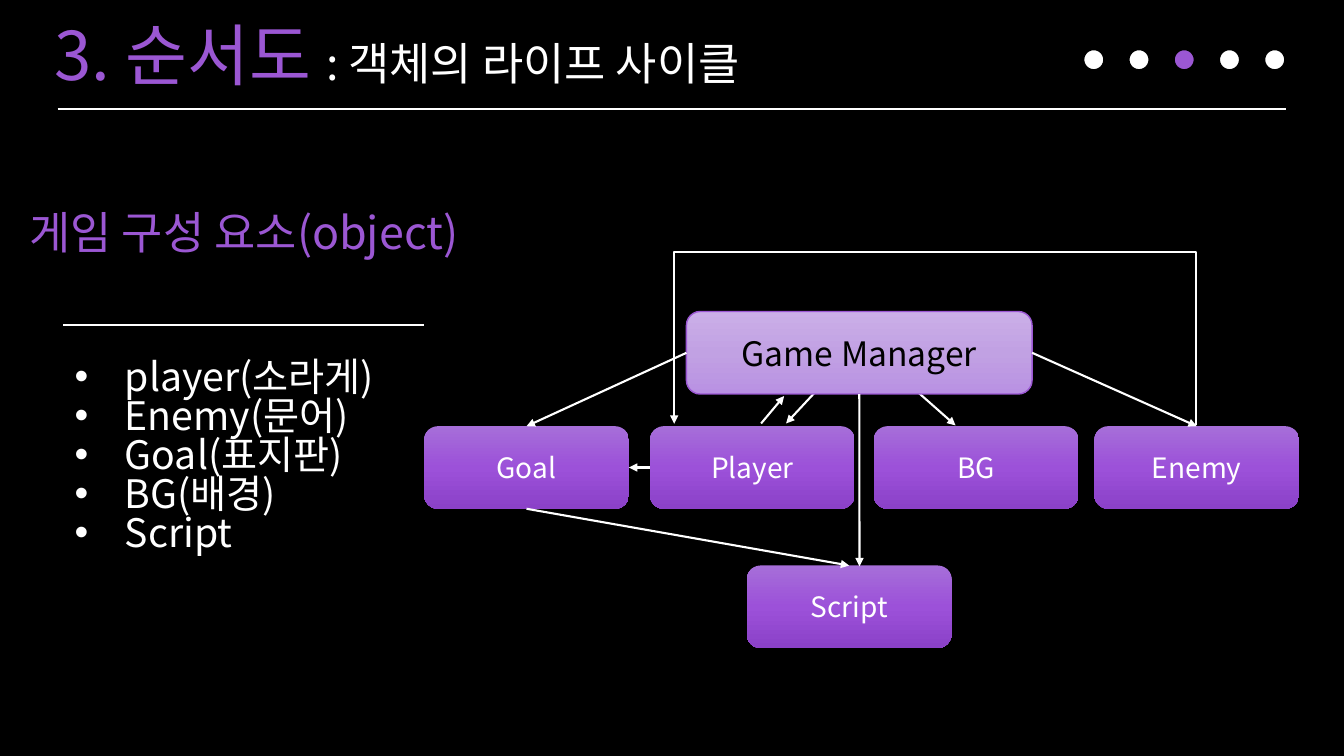
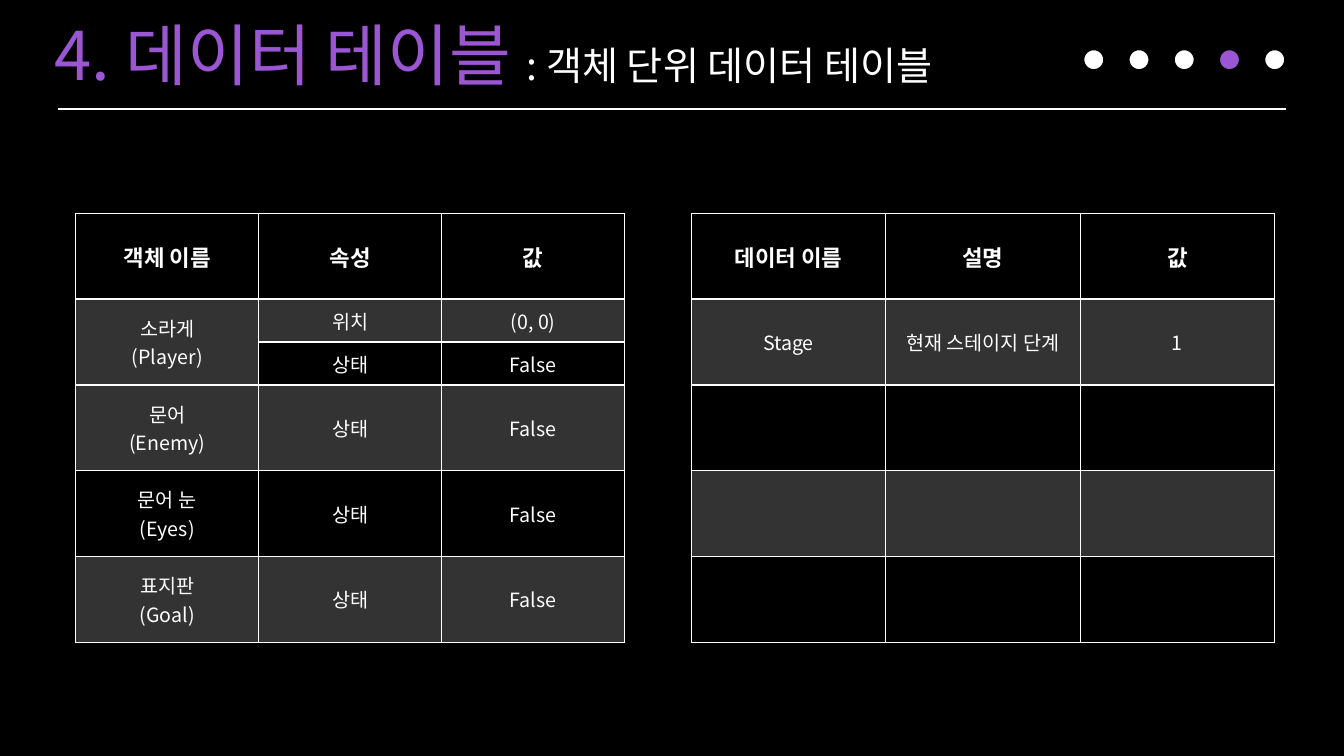
import copy

import pptx
import pptx.dml.color
import pptx.enum.shapes
import pptx.enum.text
import pptx.oxml
import pptx.oxml.ns
import pptx.util

Cm, Pt = pptx.util.Cm, pptx.util.Pt
qn = pptx.oxml.ns.qn
SHAPE = pptx.enum.shapes.MSO_SHAPE
LINE = pptx.enum.shapes.MSO_CONNECTOR
ALIGN = pptx.enum.text.PP_ALIGN
ANCHOR = pptx.enum.text.MSO_ANCHOR

# Shared look
FONT = "Noto Sans CJK KR"
BLACK, WHITE, PURPLE = "000000", "FFFFFF", "9B57D3"
PALE = ("CBAFE8", "C1A1E3", "B991E3")
DEEP = ("A66ED9", "9C51D9", "8B41C8")
DOTS = 5

# Flow chart: name -> left, top
HEAD = "게임 구성 요소(object)"
ITEMS = ["player(소라게)", "Enemy(문어)", "Goal(표지판)", "BG(배경)", "Script"]
MAIN = "Game Manager"
NODES = {
    "Goal": (10.69, 10.74),
    "Player": (16.38, 10.74),
    "BG": (22.02, 10.74),
    "Enemy": (27.58, 10.74),
    "Script": (18.82, 14.25),
}
TOP, LEFT, BOTTOM, RIGHT = range(4)
LINKS = [
    (MAIN, RIGHT, "Enemy", TOP),
    (MAIN, LEFT, "Goal", TOP),
    ("Goal", BOTTOM, "Script", TOP),
    ("Player", LEFT, "Goal", RIGHT),
]
BACK = [(20.73, 9.68, 19.81, 10.67), (22.96, 9.73, 24.08, 10.72)]
UP = (19.18, 10.67, 19.76, 9.98)
DOWN = (21.66, 9.93, 21.66, 14.27)

# Tables: a None cell joins the cell above
OBJECTS = [
    ("객체 이름", "속성", "값"),
    ("소라게\n(Player)", "위치", "(0, 0)"),
    (None, "상태", "False"),
    ("문어\n(Enemy)", "상태", "False"),
    ("문어 눈\n(Eyes)", "상태", "False"),
    ("표지판\n(Goal)", "상태", "False"),
]
DATA = [
    ("데이터 이름", "설명", "값"),
    ("Stage", "현재 스테이지 단계", "1"),
    ("", "", ""),
    ("", "", ""),
    ("", "", ""),
]


def rgb(code):
    return pptx.dml.color.RGBColor.from_string(code)


def style(para, size, color, bold=False):
    for run in para.runs:
        run.font.name, run.font.size = FONT, Pt(size)
        run.font.bold, run.font.color.rgb = bold, rgb(color)
        face = run.font._element.makeelement(qn("a:ea"), {"typeface": FONT})
        run.font._element.find(qn("a:latin")).addnext(face)


def add_text(slide, box, lines, size, color, gap):
    frame = slide.shapes.add_textbox(*map(Cm, box)).text_frame
    frame.word_wrap = True
    frame.text = "\n".join(lines)
    for para in frame.paragraphs:
        para.line_spacing = gap
        style(para, size, color)
    return frame


def add_line(slide, ends, arrow=False, kind=LINE.STRAIGHT):
    line = slide.shapes.add_connector(kind, *map(Cm, ends))
    line.line.color.rgb, line.line.width = rgb(WHITE), Pt(1.5)
    if arrow:
        tail = line.line._get_or_add_ln().makeelement(
            qn("a:tailEnd"), {"type": "triangle"})
        line.line._get_or_add_ln().append(tail)
    props = line._element.spPr
    props.append(props.makeelement(qn("a:effectLst"), {}))
    return line


def add_node(slide, name, box, shades, size, color):
    node = slide.shapes.add_shape(SHAPE.ROUNDED_RECTANGLE, *map(Cm, box))
    node.shadow.inherit = False
    node.fill.gradient()
    node.fill.gradient_angle = 270
    stops = node._element.spPr.find(".//" + qn("a:gsLst"))
    stops.insert(1, copy.deepcopy(stops[0]))
    for i, (stop, shade) in enumerate(zip(node.fill.gradient_stops, shades)):
        stop.color.rgb, stop.position = rgb(shade), i / 2
    node.line.fill.background()
    frame = node.text_frame
    frame.text = name
    frame.vertical_anchor = ANCHOR.MIDDLE
    frame.paragraphs[0].alignment = ALIGN.CENTER
    style(frame.paragraphs[0], size, color)
    return node


def add_page(prs, name, note, size, width, now):
    slide = prs.slides.add_slide(prs.slide_layouts[5])
    # Title
    title = slide.shapes.title
    title.left, title.top, title.width, title.height = map(
        Cm, (1.12, 0.43, width, 2.31))
    frame = title.text_frame
    frame.auto_size = pptx.enum.text.MSO_AUTO_SIZE.NONE
    frame.vertical_anchor = ANCHOR.TOP
    para = frame.paragraphs[0]
    para.alignment, para.line_spacing = ALIGN.LEFT, 0.9
    para.text = name
    para.add_run().text = note
    style(para, 48, PURPLE)
    para.runs[1].font.size = Pt(size)
    para.runs[1].font.color.rgb = rgb(WHITE)
    # Rule and progress dots
    add_line(slide, (1.45, 2.74, 32.41, 2.74))
    for i in range(DOTS):
        dot = slide.shapes.add_shape(
            SHAPE.OVAL, Cm(27.3 + 1.14 * i), Cm(1.24), Cm(0.53), Cm(0.53))
        dot.shadow.inherit = False
        dot.fill.solid()
        dot.fill.fore_color.rgb = rgb(PURPLE if i == now else WHITE)
        dot.line.color.rgb, dot.line.width = rgb(BLACK), Pt(1.5)
    return slide


def edge_cell(cell, row):
    props = cell._tc.get_or_add_tcPr()
    for i, side in enumerate("LRTB"):
        thick = (row, side) in ((0, "B"), (1, "T"))
        props.insert(i, pptx.oxml.parse_xml(
            f'<a:ln{side} {pptx.oxml.ns.nsdecls("a")} w="{Pt(2 if thick else 1)}">'
            f'<a:solidFill><a:srgbClr val="{WHITE}"/></a:solidFill></a:ln{side}>'))


def add_grid(slide, rows, left, wide, high):
    count = len(rows[0])
    grid = slide.shapes.add_table(
        len(rows), count, Cm(left), Cm(5.38), Cm(wide * count), Cm(high)).table
    grid.horz_banding = False
    for col in grid.columns:
        col.width = Cm(wide)
    for r, row in enumerate(rows):
        split = None in row or (r + 1 < len(rows) and None in rows[r + 1])
        grid.rows[r].height = Cm(high / 2 if split else high)
        for c, text in enumerate(row):
            cell = grid.cell(r, c)
            if text is None:
                grid.cell(r - 1, c).merge(cell)
            else:
                cell.text = text
            cell.vertical_anchor = ANCHOR.MIDDLE
            for para in cell.text_frame.paragraphs:
                para.alignment = ALIGN.CENTER
                style(para, 14 if r else 16, WHITE, r == 0)
            if r % 2:
                cell.fill.solid()
                cell.fill.fore_color.rgb = rgb(WHITE)
                tone = cell._tc.tcPr.find(".//" + qn("a:srgbClr"))
                tone.append(tone.makeelement(qn("a:alpha"), {"val": "20000"}))
            else:
                cell.fill.background()
            edge_cell(cell, r)


def add_loop(slide, start, end, base, peak):
    # Elbow turned a quarter, so its thin width points upwards
    thin, span = 0.02, start - end
    loop = add_line(slide, (0, 0, thin, span), True, LINE.ELBOW)
    loop.left = Cm((start + end - thin) / 2)
    loop.top = Cm(base - span / 2)
    loop.rotation = 270
    loop._element.spPr.xfrm.set("flipV", "1")
    shape = loop._element.spPr.find(qn("a:prstGeom"))
    guides = shape.find(qn("a:avLst"))
    if guides is None:
        guides = shape.makeelement(qn("a:avLst"), {})
        shape.append(guides)
    bend = round((base - peak) / thin * 100000)
    guides.append(guides.makeelement(
        qn("a:gd"), {"name": "adj1", "fmla": f"val {bend}"}))


def draw_flow(prs):
    slide = add_page(prs, "3. 순서도 ", ": 객체의 라이프 사이클", 32, 22.76, 2)
    # Object list
    head = add_text(slide, (0.18, 5.16, 11.94, 3), [HEAD], 32, PURPLE, 0.92)
    head.paragraphs[0].alignment = ALIGN.CENTER
    add_line(slide, (1.6, 8.2, 10.69, 8.2))
    items = add_text(slide, (1.63, 8.95, 10.46, 7.3), ITEMS, 28, WHITE, 0.83)
    for para in items.paragraphs:
        props = para._p.get_or_add_pPr()
        props.set("marL", str(Cm(1.27)))
        props.set("indent", str(-Cm(1.27)))
        props.append(props.makeelement(qn("a:buFont"), {"typeface": "Arial"}))
        props.append(props.makeelement(qn("a:buChar"), {"char": "•"}))
    # Nodes over the two back arrows
    for ends in BACK:
        add_line(slide, ends, True)
    main = add_node(slide, MAIN, (17.3, 7.85, 8.71, 2.08), PALE, 24, BLACK)
    main.line.color.rgb, main.line.width = rgb(PURPLE), Pt(1)
    nodes = {MAIN: main}
    for name, spot in NODES.items():
        nodes[name] = add_node(slide, name, (*spot, 5.16, 2.08), DEEP, 20, WHITE)
    # Arrows
    for here, out, there, into in LINKS:
        link = add_line(slide, (0, 0, 1, 1), True)
        link.begin_connect(nodes[here], out)
        link.end_connect(nodes[there], into)
    add_line(slide, UP, True)
    add_line(slide, DOWN, True).begin_connect(main, BOTTOM)
    add_loop(slide, 30.15, 16.99, 10.69, 6.35)


def draw_data(prs):
    slide = add_page(prs, "4. 데이터 테이블 ", ": 객체 단위 데이터 테이블", 28, 27.86, 3)
    add_grid(slide, OBJECTS, 1.91, 4.61, 2.16)
    add_grid(slide, DATA, 17.42, 4.9, 2.16)


def main():
    prs = pptx.Presentation()
    prs.slide_width, prs.slide_height = Cm(33.87), Cm(19.05)
    back = prs.slide_master.background.fill
    back.solid()
    back.fore_color.rgb = rgb(BLACK)
    draw_flow(prs)
    draw_data(prs)
    prs.save("out.pptx")


if __name__ == "__main__":
    main()
